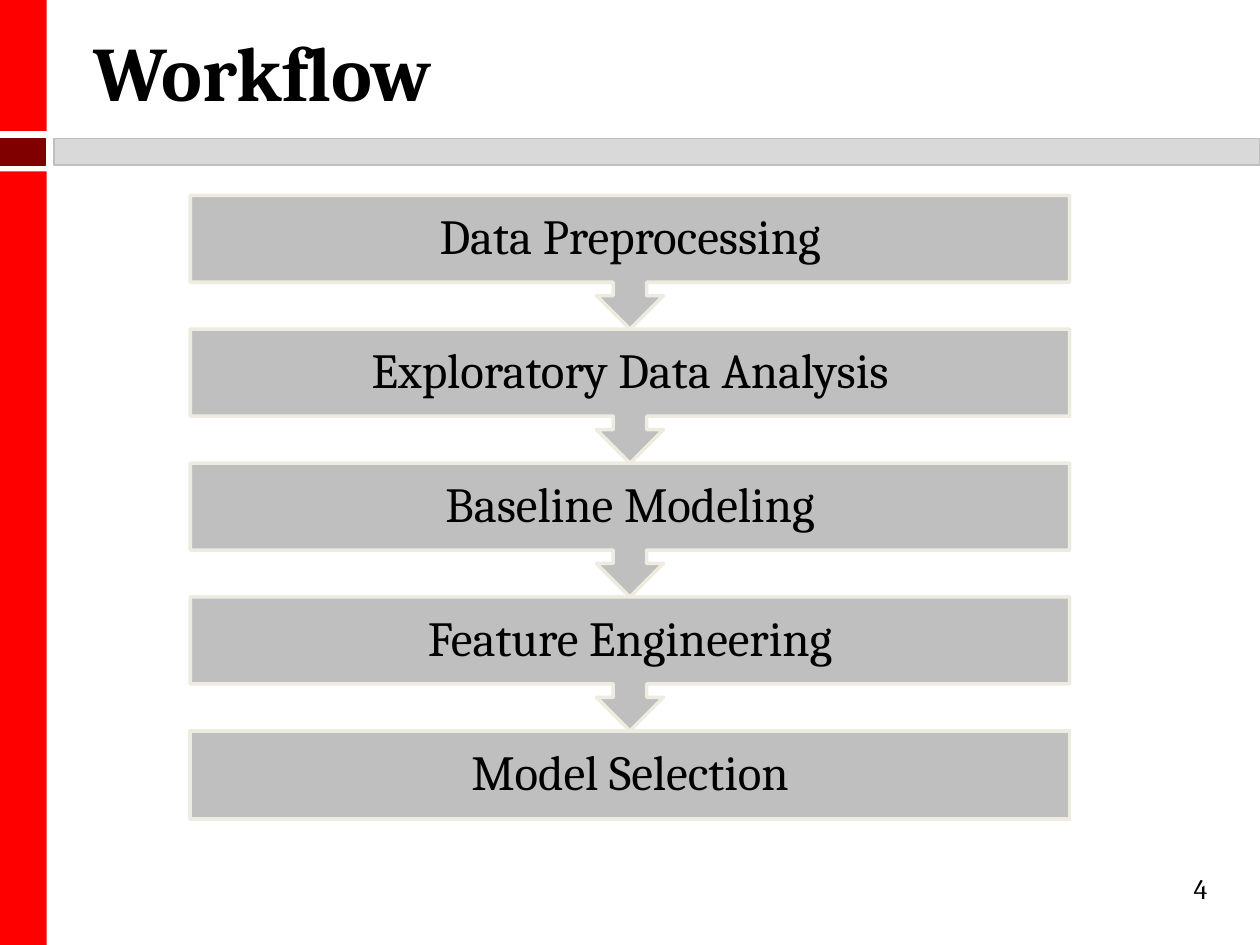
from dataclasses import dataclass

from pptx import Presentation, util as u
from pptx.dml.color import RGBColor
from pptx.enum import shapes, text


@dataclass(frozen=True)
class Theme:
    font: str = "Cambria"
    ink: str = "000000"
    accent: str = "FF0000"
    accent_dark: str = "800000"
    band: str = "D9D9D9"
    step: str = "BFBFBF"
    step_line: str = "EEECE1"
    title_size: int = 44
    step_size: int = 28
    number_size: int = 16


class SlideBuilder:
    COLUMNS, ROWS = 10, 7.5

    def __init__(self, presentation, theme):
        self.theme = theme
        self.column = presentation.slide_width / self.COLUMNS
        self.row = presentation.slide_height / self.ROWS
        self.slide = presentation.slides.add_slide(presentation.slide_layouts[5])

    def place(self, left, top, width, height):
        return (round(left * self.column), round(top * self.row),
                round(width * self.column), round(height * self.row))

    def set_text(self, shape, words, size, alignment, bold=False):
        frame = shape.text_frame
        frame.text = words
        frame.word_wrap = True
        frame.auto_size = text.MSO_AUTO_SIZE.NONE
        frame.vertical_anchor = text.MSO_ANCHOR.MIDDLE
        paragraph = frame.paragraphs[0]
        paragraph.alignment = alignment
        paragraph.font.name = self.theme.font
        paragraph.font.size = u.Pt(size)
        paragraph.font.bold = bold
        paragraph.font.color.rgb = RGBColor.from_string(self.theme.ink)
        return paragraph

    def title(self, words, *box):
        shape = self.slide.shapes.title
        shape.left, shape.top, shape.width, shape.height = self.place(*box)
        self.set_text(shape, words, self.theme.title_size, text.PP_ALIGN.LEFT, bold=True)

    def block(self, *box, fill, line=None, line_width=0.75,
              kind=shapes.MSO_SHAPE.RECTANGLE):
        shape = self.slide.shapes.add_shape(kind, *self.place(*box))
        shape.shadow.inherit = False
        shape.fill.solid()
        shape.fill.fore_color.rgb = RGBColor.from_string(fill)
        if line:
            shape.line.color.rgb = RGBColor.from_string(line)
            shape.line.width = u.Pt(line_width)
        else:
            shape.line.fill.background()
        return shape

    def step(self, words, *box, kind):
        shape = self.block(*box, fill=self.theme.step, line=self.theme.step_line,
                           line_width=2, kind=kind)
        paragraph = self.set_text(shape, words, self.theme.step_size,
                                  text.PP_ALIGN.CENTER)
        paragraph.line_spacing = 0.9
        frame = shape.text_frame
        frame.margin_left = frame.margin_right = u.Inches(0.22)
        frame.margin_top = frame.margin_bottom = 0

    def workflow(self, steps, left, top, width, height, box_height):
        last = len(steps) - 1
        pitch = (height - box_height) / last
        for index, words in reversed(list(enumerate(steps))):
            if index == last:
                kind, step_height = shapes.MSO_SHAPE.RECTANGLE, box_height
            else:
                kind, step_height = shapes.MSO_SHAPE.DOWN_ARROW_CALLOUT, pitch
            self.step(words, left, top + index * pitch, width, step_height, kind=kind)

    def page_number(self, words, *box):
        shape = self.slide.shapes.add_textbox(*self.place(*box))
        self.set_text(shape, words, self.theme.number_size, text.PP_ALIGN.RIGHT)


def main():
    presentation = Presentation()
    presentation.slide_width = u.Inches(10)
    presentation.slide_height = u.Inches(7.5)
    theme = Theme()
    builder = SlideBuilder(presentation, theme)

    builder.block(0, 1.36, 0.37, 6.14, fill=theme.accent)
    builder.block(0, 0, 0.37, 1.04, fill=theme.accent)
    builder.block(0.43, 1.1, 9.57, 0.21, fill=theme.band, line=theme.step)
    builder.block(0, 1.1, 0.36, 0.21, fill=theme.accent_dark, line=theme.accent_dark)
    builder.title("Workflow", 0.64, 0.04, 8.86, 1.05)

    steps = ["Data Preprocessing", "Exploratory Data Analysis", "Baseline Modeling",
             "Feature Engineering", "Model Selection"]
    builder.workflow(steps, left=1.51, top=1.55, width=6.98, height=4.95, box_height=0.7)
    builder.page_number("4", 7.17, 6.75, 2.51, 0.6)
    presentation.save("out.pptx")


if __name__ == "__main__":
    main()
